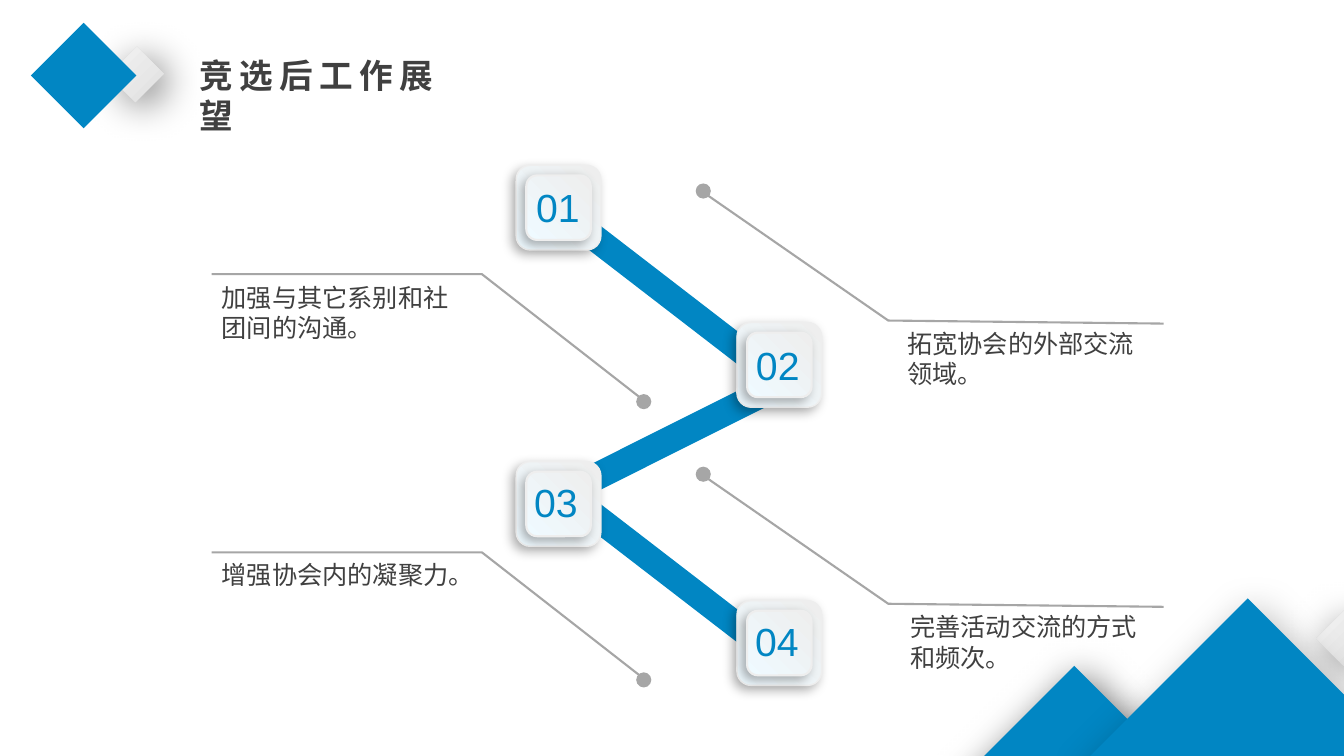
import pptx
import pptx.dml.color
import pptx.enum.shapes
import pptx.enum.text
import pptx.util
from lxml import etree
from pptx.util import Inches, Pt

BLUE, GREY, DARK = "0186C3", "A6A6A6", "404040"
SILVER = ("E0E0E0", "F2F2F2", 180)
FROST = ("EEEEEE", "EFFAFF", 135)
FONT = "Arial"
SHAPE = pptx.enum.shapes.MSO_SHAPE

TITLE = "竞选后工作展望"

# left, top, width, height, fill, shadow opacity in percent (0 for none)
DIAMONDS = [
    (9.85, 6.94, 1.61, 1.61, BLUE, 59),
    (13.14, 6.13, 0.38, 0.4, SILVER, 51),
    (11.16, 6.44, 2.43, 2.43, BLUE, 28),
    (1.16, 0.54, 0.38, 0.4, SILVER, 51),
    (0.46, 0.38, 0.74, 0.74, BLUE, 0),
]
# left, top, width, height, rotation
BARS = [
    (5.47, 4.2, 2.46, 0.27, 153.4),
    (5.17, 5.5, 2.78, 0.26, 37.6),
    (5.17, 2.74, 2.78, 0.26, 37.6),
]
# number, tile left and top, offset of the number's box
TILES = [
    ("01", 5.12, 1.64, 0.1, 0.13),
    ("02", 7.31, 3.2, 0.09, 0.14),
    ("03", 5.12, 4.58, 0.08, 0.12),
    ("04", 7.31, 5.96, 0.08, 0.12),
]
# Steps from the dot to the bend and from the bend to the end
LEFTWARD = ((-1.64, -1.28), (-2.68, 0))
RIGHTWARD = ((1.86, 1.29), (2.73, 0.03))
# line start, steps, dot position, text position, text height, text
CALLOUTS = [
    ((6.42, 4), LEFTWARD, (6.31, 3.91), (2.1, 2.75), 0.71, "加强与其它系别和社团间的沟通。"),
    ((6.42, 6.76), LEFTWARD, (6.31, 6.67), (2.1, 5.5), 0.4, "增强协会内的凝聚力。"),
    ((6.95, 4.7), RIGHTWARD, (6.9, 4.63), (8.93, 6.02), 0.71, "完善活动交流的方式和频次。"),
    ((6.95, 1.89), RIGHTWARD, (6.9, 1.82), (8.9, 3.21), 0.71, "拓宽协会的外部交流领域。"),
]


def color(value):
    return pptx.dml.color.RGBColor.from_string(value)


def paint(shape, fill):
    """Fill with one colour, or with a (start, end, clockwise angle) gradient."""
    if isinstance(fill, str):
        shape.fill.solid()
        shape.fill.fore_color.rgb = color(fill)
        return
    start, end, angle = fill
    shape.fill.gradient()
    shape.fill.gradient_angle = 360 - angle
    for stop, value in zip(shape.fill.gradient_stops, (start, end)):
        stop.color.rgb = color(value)


def add_shadow(shape, opacity, blur, distance, direction):
    effects = shape._element.spPr.find(pptx.oxml.ns.qn("a:effectLst"))
    shadow = etree.SubElement(
        effects, pptx.oxml.ns.qn("a:outerShdw"), blurRad=str(Pt(blur)),
        dist=str(Pt(distance)), dir=str(direction * 60000), algn="ctr", rotWithShape="0")
    black = etree.SubElement(shadow, pptx.oxml.ns.qn("a:srgbClr"), val="000000")
    etree.SubElement(black, pptx.oxml.ns.qn("a:alpha"), val=str(opacity * 1000))


def add_block(page, kind, left, top, width, height, fill, rotation=0):
    shape = page.shapes.add_shape(
        kind, Inches(left), Inches(top), Inches(width), Inches(height))
    shape.shadow.inherit = False
    shape.rotation = rotation
    shape.line.fill.background()
    paint(shape, fill)
    return shape


def write(box, text, size, ink, bold=False):
    frame = box.text_frame
    frame.word_wrap = True
    frame.vertical_anchor = pptx.enum.text.MSO_ANCHOR.TOP
    frame.auto_size = pptx.enum.text.MSO_AUTO_SIZE.NONE
    frame.text = text
    para = frame.paragraphs[0]
    para.font.name = FONT
    para.font.size = Pt(size)
    para.font.bold = bold
    para.font.color.rgb = color(ink)
    return para


def add_text(page, left, top, width, height, text, size, ink):
    box = page.shapes.add_textbox(
        Inches(left), Inches(top), Inches(width), Inches(height))
    write(box, text, size, ink)


def add_tile(page, number, left, top, shift_x, shift_y):
    for inset, width in ((0, 1), (0.1, 1.5)):
        side = 0.84 - 2 * inset
        square = add_block(page, SHAPE.ROUNDED_RECTANGLE,
                           left + inset, top + inset, side, side, FROST)
        square.line.color.rgb = color("EEEEEE")
        square.line.width = Pt(width)
        add_shadow(square, 30, 8, 4, 135)
    add_text(page, left + shift_x, top + shift_y, 0.77, 0.57, number, 28, BLUE)


def add_callout(page, start, steps, dot, place, height, text):
    x, y = start
    points = []
    for step_x, step_y in steps:
        x, y = x + step_x, y + step_y
        points.append((Inches(x), Inches(y)))
    builder = page.shapes.build_freeform(Inches(start[0]), Inches(start[1]))
    builder.add_line_segments(points, close=False)
    leader = builder.convert_to_shape()
    leader.shadow.inherit = False
    leader.fill.background()
    leader.line.color.rgb = color(GREY)
    leader.line.width = Pt(1.5)
    add_block(page, SHAPE.OVAL, *dot, 0.15, 0.15, GREY)
    add_text(page, *place, 2.52, height, text, 18, DARK)


def main():
    deck = pptx.Presentation()
    deck.slide_width, deck.slide_height = Inches(13.33), Inches(7.5)
    page = deck.slides.add_slide(deck.slide_layouts[5])

    title = page.shapes.title
    title.left, title.top = Inches(1.88), Inches(0.49)
    title.width, title.height = Inches(2.52), Inches(0.5)
    para = write(title, TITLE, 24, DARK, bold=True)
    para.alignment = pptx.enum.text.PP_ALIGN.JUSTIFY

    for *place, fill, opacity in DIAMONDS:
        diamond = add_block(page, SHAPE.RECTANGLE, *place, fill, 45)
        if opacity:
            add_shadow(diamond, opacity, 28, 7, 45)
    for *place, rotation in BARS:
        add_block(page, SHAPE.RECTANGLE, *place, BLUE, rotation)
    for tile in TILES:
        add_tile(page, *tile)
    for callout in CALLOUTS:
        add_callout(page, *callout)

    deck.save("out.pptx")


if __name__ == "__main__":
    main()
